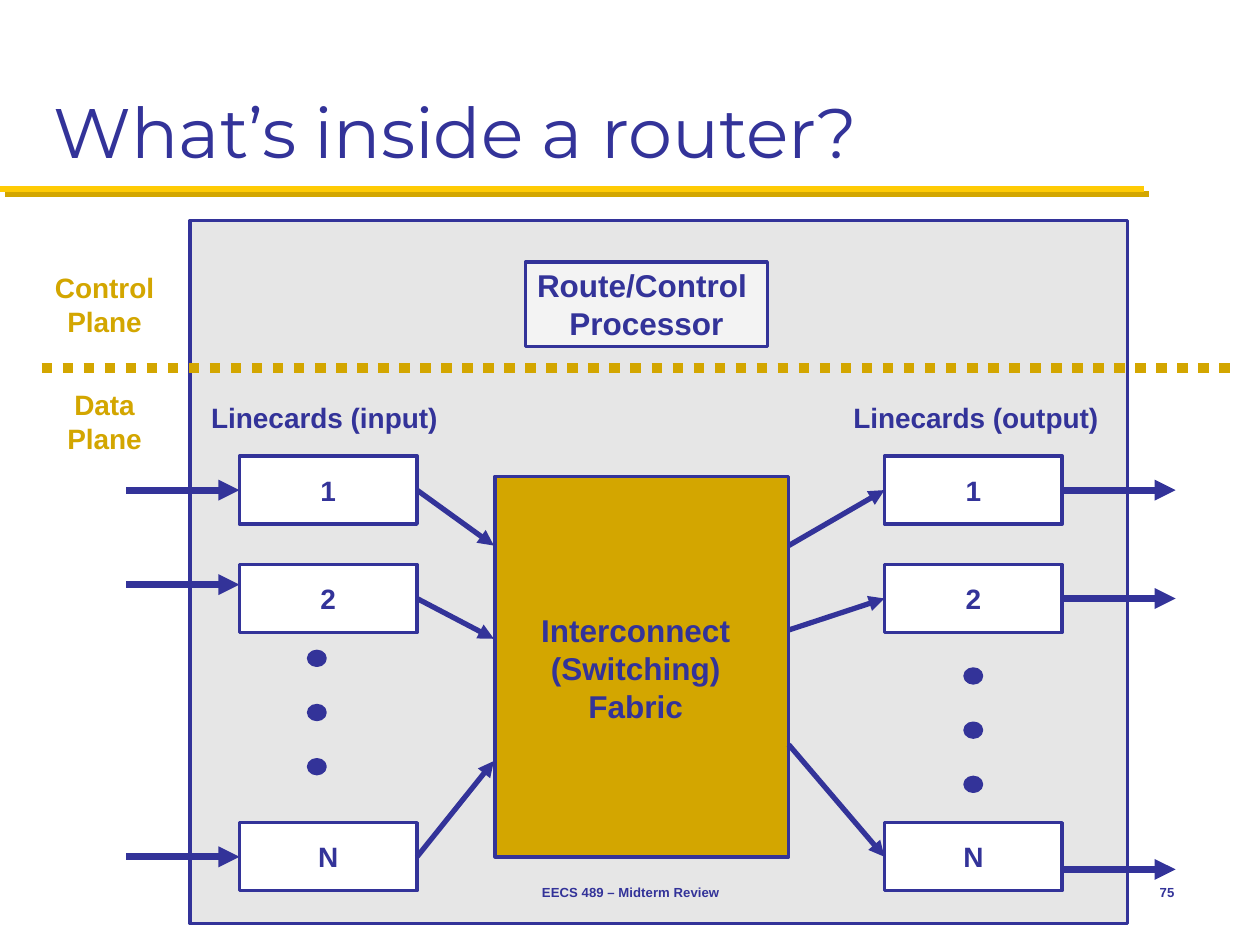
from lxml import etree
from pptx import Presentation
from pptx.dml.color import RGBColor
from pptx.enum.dml import MSO_LINE
from pptx.enum.shapes import MSO_CONNECTOR, MSO_SHAPE
from pptx.enum.text import MSO_ANCHOR, PP_ALIGN
from pptx.oxml.ns import qn
from pptx.util import Inches, Pt

RECTANGLE, OVAL = MSO_SHAPE.RECTANGLE, MSO_SHAPE.OVAL
STRAIGHT = MSO_CONNECTOR.STRAIGHT
DOTTED = MSO_LINE.ROUND_DOT
LEFT, CENTER, RIGHT = PP_ALIGN.LEFT, PP_ALIGN.CENTER, PP_ALIGN.RIGHT
TOP, MIDDLE, BOTTOM = MSO_ANCHOR.TOP, MSO_ANCHOR.MIDDLE, MSO_ANCHOR.BOTTOM

BLUE, GOLD, YELLOW = "333399", "D3A600", "FFCB05"
WHITE, GRAY, PALE = "FFFFFF", "E6E6E6", "F3F3F3"


def color(value):
    return RGBColor.from_string(value)


class RouterSlide:
    """Holds the diagram style and the slide being drawn."""

    font = "Arial"
    outline = Pt(2)

    def __init__(self, presentation):
        self.slide = presentation.slides.add_slide(presentation.slide_layouts[6])

    def set_text(self, shape, text, size, ink=BLUE, align=CENTER, anchor=MIDDLE,
                 wrap=False, font=font, bold=True):
        frame = shape.text_frame
        frame.text = text
        frame.word_wrap = wrap
        frame.vertical_anchor = anchor
        for paragraph in frame.paragraphs:
            paragraph.alignment = align
            for run in paragraph.runs:
                run.font.name = font
                run.font.size = Pt(size)
                run.font.bold = bold
                run.font.color.rgb = color(ink)

    def label(self, text, left, top, width, height, size, **style):
        box = self.slide.shapes.add_textbox(
            Inches(left), Inches(top), Inches(width), Inches(height))
        self.set_text(box, text, size, **style)

    def shape(self, kind, left, top, width, height, fill):
        shape = self.slide.shapes.add_shape(
            kind, Inches(left), Inches(top), Inches(width), Inches(height))
        shape.shadow.inherit = False
        shape.fill.solid()
        shape.fill.fore_color.rgb = color(fill)
        shape.line.color.rgb = color(BLUE)
        shape.line.width = self.outline
        return shape

    def box(self, text, left, top, width, height, fill, size):
        self.set_text(self.shape(RECTANGLE, left, top, width, height, fill), text, size)

    def line(self, start_x, start_y, end_x, end_y, ink, width, dash=None):
        line = self.slide.shapes.add_connector(
            STRAIGHT, Inches(start_x), Inches(start_y), Inches(end_x), Inches(end_y))
        line.line.color.rgb = color(ink)
        line.line.width = Pt(width)
        if dash:
            line.line.dash_style = dash
        etree.SubElement(line._element.spPr, qn("a:effectLst"))
        return line

    def arrow(self, start_x, start_y, end_x, end_y, width):
        arrow = self.line(start_x, start_y, end_x, end_y, BLUE, width)
        outline = arrow._element.spPr.find(qn("a:ln"))
        etree.SubElement(outline, qn("a:tailEnd"), type="triangle")


def main():
    presentation = Presentation()
    presentation.slide_width, presentation.slide_height = Inches(10), Inches(7.5)
    router = RouterSlide(presentation)

    for offset, ink in ((0.04, GOLD), (0, YELLOW)):
        router.line(offset, 1.5 + offset, 9.08 + offset, 1.5 + offset, ink, 3.5)
    router.label("What’s inside a router?", 0.33, 0.17, 9.33, 1.25, 40, align=LEFT,
                 anchor=BOTTOM, wrap=True, font="Montserrat", bold=False)

    router.shape(RECTANGLE, 1.51, 1.75, 7.44, 5.58, GRAY)
    card_width, card_height = 1.41, 0.54
    for card_left in (1.9, 7.02):
        for name, top in (("1", 3.62), ("2", 4.48), ("N", 6.53)):
            router.box(name, card_left, top, card_width, card_height, WHITE, 16)
    router.shape(RECTANGLE, 3.93, 3.78, 2.33, 3.02, GOLD)

    for y in (3.89, 4.64, 6.8):
        router.arrow(1, y, 1.9, y, 4)
    for y in (3.89, 4.75, 6.9):
        router.arrow(8.43, y, 9.33, y, 4)

    for dot_left, first_top in ((2.45, 5.17), (7.66, 5.31)):
        for index in range(3):
            router.shape(OVAL, dot_left, first_top + 0.43 * index, 0.13, 0.11, BLUE)

    for card_y, input_y, output_y in ((3.89, 4.33, 4.33), (4.75, 5.07, 5), (6.8, 6.04, 5.91)):
        router.arrow(3.31, card_y, 3.92, input_y, 3)
        router.arrow(6.26, output_y, 7.02, card_y, 3)

    router.label("Interconnect\v(Switching)\nFabric", 4.19, 4.8, 1.71, 1.01, 18, anchor=TOP)
    router.box("Route/Control \vProcessor", 4.17, 2.08, 1.92, 0.67, PALE, 18)
    for text, left in (("Linecards (input)", 1.32), ("Linecards (output)", 6.49)):
        router.label(text, left, 3.13, 2.51, 0.37, 16, anchor=TOP, wrap=True)

    router.line(0.33, 2.92, 9.83, 2.92, GOLD, 6, DOTTED)
    for text, top in (("Control Plane", 2.1), ("Data Plane", 3.03)):
        router.label(text, 0.33, top, 1, 0.64, 16, ink=GOLD, anchor=TOP, wrap=True)

    router.label("EECS 489 – Midterm Review", 3.42, 6.83, 3.17, 0.5, 7.5)
    router.label("75", 8.75, 6.83, 0.67, 0.5, 7.5, align=RIGHT)

    presentation.save("out.pptx")


if __name__ == "__main__":
    main()
